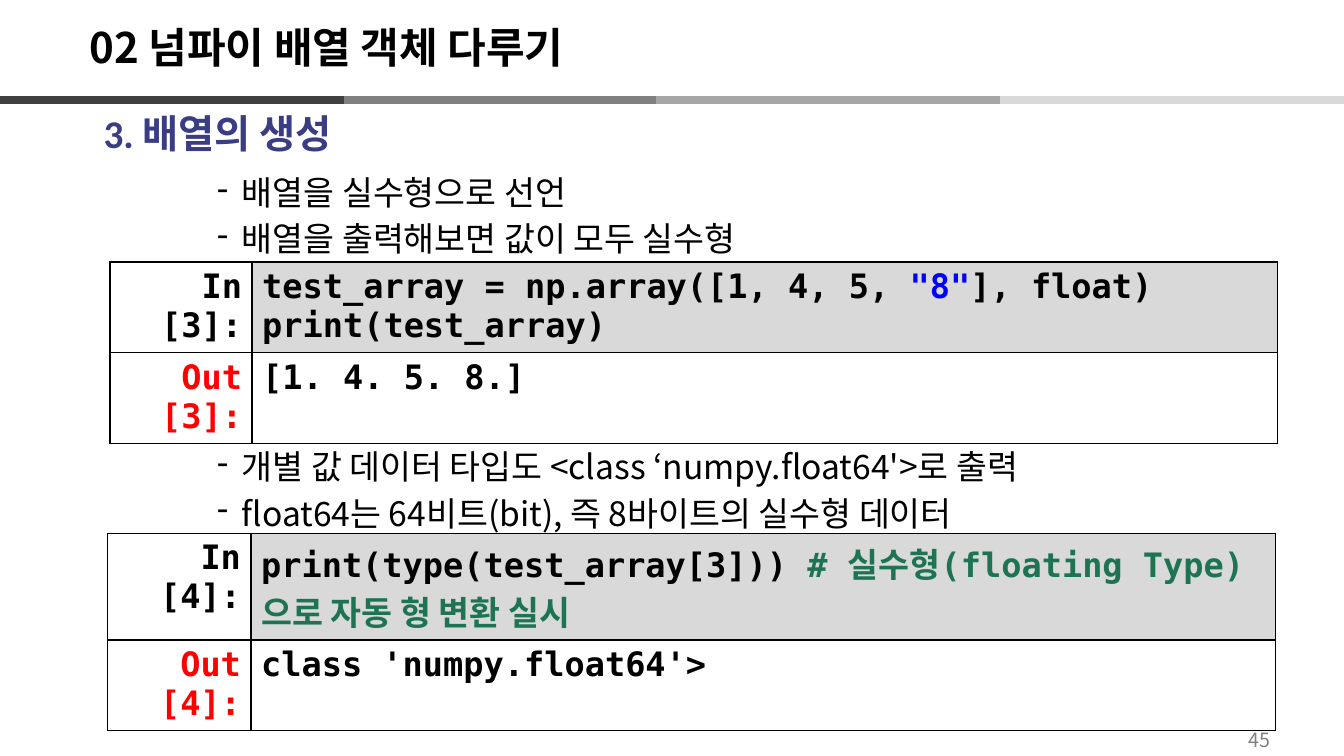
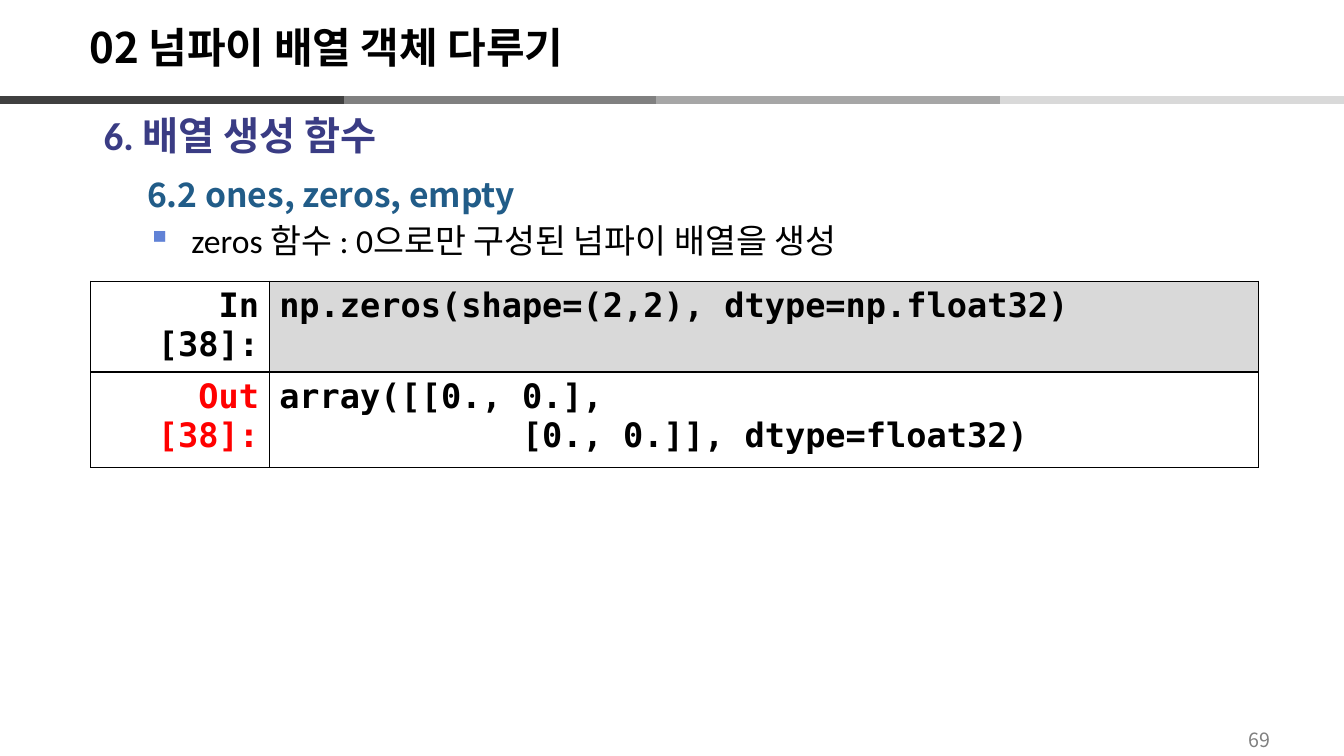
from dataclasses import dataclass

from lxml import etree
from pptx import Presentation
from pptx.dml.color import RGBColor
from pptx.enum import shapes, text
from pptx.oxml import ns
from pptx.util import Inches, Pt


@dataclass(frozen=True)
class Theme:
    # Fonts
    sans: str = "Noto Sans CJK KR"
    latin: str = "Calibri"
    mono: str = "DejaVu Sans Mono"
    # Type sizes in points
    title: float = 30
    heading: float = 28
    body: float = 24
    number: float = 14
    body_line: float = 33
    # Colours
    black: str = "000000"
    indigo: str = "3A3C84"
    blue: str = "215C88"
    bullet: str = "6182D6"
    grey: str = "808080"
    code_fill: str = "D9D9D9"
    out_label: str = "FF0000"
    string: str = "0000FF"
    comment: str = "1E7452"
    band: tuple = ("404040", "808080", "A6A6A6", "D9D9D9")


T = Theme()
TITLE = "02 넘파이 배열 객체 다루기"
SLIDE_W = 13.33


# Text helpers
def add_run(p, content, size, font, color=T.black, bold=False):
    r = p.add_run()
    r.text = content
    f = r.font
    f.size, f.bold, f.name = Pt(size), bold, font
    f.color.rgb = RGBColor.from_string(color)
    r.font._element.find(ns.qn("a:latin")).addnext(
        r.font._element.makeelement(ns.qn("a:ea"), {"typeface": T.sans}))


def add_box(s, x, y, w, h, anchor=text.MSO_ANCHOR.TOP):
    tf = s.shapes.add_textbox(Inches(x), Inches(y), Inches(w), Inches(h)).text_frame
    tf.word_wrap = True
    tf.vertical_anchor = anchor
    return tf


def set_indent(p, left, hanging=0, bullet=None, color=T.black):
    pPr = p._p.get_or_add_pPr()
    pPr.set("marL", str(Inches(left)))
    pPr.set("indent", str(-Inches(hanging)))
    if bullet:
        clr = etree.SubElement(pPr, ns.qn("a:buClr"))
        etree.SubElement(clr, ns.qn("a:srgbClr"), val=color)
        etree.SubElement(pPr, ns.qn("a:buChar"), char=bullet)


# Title, four-tone band and page number
def add_frame(s, number):
    tf = add_box(s, 0.79, 0.2, 9.97, 0.6, text.MSO_ANCHOR.MIDDLE)
    p = tf.paragraphs[0]
    p.line_spacing = 0.9
    add_run(p, TITLE, T.title, T.sans, bold=True)

    # The darkest piece overlaps the next one, so it is drawn last
    step = 3.41
    starts = [0] + [SLIDE_W - step * n for n in (3, 2, 1)]
    for x, color in reversed(list(zip(starts, T.band))):
        line = s.shapes.add_connector(
            shapes.MSO_CONNECTOR.STRAIGHT,
            Inches(x), Inches(0.99), Inches(x + step), Inches(0.99))
        line.line.width = Pt(6)
        line.line.color.rgb = RGBColor.from_string(color)
        etree.SubElement(line._element.spPr, ns.qn("a:effectLst"))

    tf = add_box(s, 12.02, 7.14, 0.94, 0.39, text.MSO_ANCHOR.MIDDLE)
    p = tf.paragraphs[0]
    p.alignment = text.PP_ALIGN.CENTER
    add_run(p, str(number), T.number, T.sans, T.grey)


def add_heading(s, content, y):
    p = add_box(s, 0.55, y, 12.13, 0.66).paragraphs[0]
    set_indent(p, 0.38)
    add_run(p, content, T.heading, T.latin, T.indigo, True)


def add_dashes(s, lines, y):
    tf = add_box(s, 0.55, y, 12.13, 1.02)
    for i, content in enumerate(lines):
        p = tf.add_paragraph() if i else tf.paragraphs[0]
        set_indent(p, 1.75, 0.25, "‐")
        p.line_spacing = Pt(T.body_line)
        add_run(p, content, T.body, T.sans)


def add_subsection(s, heading, item, y):
    tf = add_box(s, 0.55, y, 12.28, 1.02)
    p = tf.paragraphs[0]
    set_indent(p, 0.81)
    p.line_spacing = Pt(T.body_line)
    add_run(p, heading, T.body, T.sans, T.blue, True)
    p = tf.add_paragraph()
    set_indent(p, 1.25, 0.44, "▪", T.bullet)
    p.line_spacing = Pt(T.body_line)
    add_run(p, item, T.body, T.latin)


# Notebook cell: an input row and an output row
def fill_cell(cell, lines, fill=None, align=text.PP_ALIGN.LEFT):
    tcPr = cell._tc.get_or_add_tcPr()
    for side in ("lnL", "lnR", "lnT", "lnB"):
        ln = etree.SubElement(tcPr, ns.qn("a:" + side), w=str(Pt(1)))
        solid = etree.SubElement(ln, ns.qn("a:solidFill"))
        etree.SubElement(solid, ns.qn("a:srgbClr"), val=T.black)
    if fill:
        cell.fill.solid()
        cell.fill.fore_color.rgb = RGBColor.from_string(fill)
    else:
        cell.fill.background()
    for i, runs in enumerate(lines):
        tf = cell.text_frame
        p = tf.add_paragraph() if i else tf.paragraphs[0]
        p.alignment = align
        for content, color in runs:
            add_run(p, content, T.body, T.mono, color, True)


def add_notebook(s, number, code, output, x, y, label_w, heights):
    width = 11.58
    table = s.shapes.add_table(2, 2, Inches(x), Inches(y),
                               Inches(width), Inches(sum(heights))).table
    table.first_row = table.horz_banding = False
    for col, w in zip(table.columns, (label_w, width - label_w)):
        col.width = Inches(w)
    rows = (("In", T.black, code, T.code_fill),
            ("Out", T.out_label, output, None))
    for i, (label, color, lines, fill) in enumerate(rows):
        table.rows[i].height = Inches(heights[i])
        fill_cell(table.cell(i, 0), [[(f"{label} [{number}]:", color)]],
                  align=text.PP_ALIGN.RIGHT)
        fill_cell(table.cell(i, 1), lines, fill)


# Slides
def float_array_slide(s):
    add_frame(s, 45)
    add_heading(s, "3. 배열의 생성", 1.04)
    add_dashes(s, ["배열을 실수형으로 선언",
                   "배열을 출력해보면 값이 모두 실수형"], 1.6)
    add_notebook(
        s, 3,
        [[("test_array = np.array([1, 4, 5, ", T.black), ('"8"', T.string),
          ("], float)", T.black)],
         [("print(test_array)", T.black)]],
        [[("[1. 4. 5. 8.]", T.black)]],
        1.09, 2.6, 1.41, (0.87, 0.87))
    add_dashes(s, ["개별 값 데이터 타입도 <class ‘numpy.float64'>로 출력",
                   "float64는 64비트(bit), 즉 8바이트의 실수형 데이터"], 4.32)
    add_notebook(
        s, 4,
        [[("print(type(test_array[3])) ", T.black),
          ("# 실수형(floating Type)으로 자동 형 변환 실시", T.comment)]],
        [[("class 'numpy.float64'>", T.black)]],
        1.07, 5.29, 1.42, (1.06, 0.87))


def zeros_slide(s):
    add_frame(s, 69)
    add_heading(s, "6. 배열 생성 함수", 1.06)
    add_subsection(s, "6.2 ones, zeros, empty",
                   "zeros 함수 : 0으로만 구성된 넘파이 배열을 생성", 1.62)
    add_notebook(
        s, 38,
        [[("np.zeros(shape=(2,2), dtype=np.float32)", T.black)]],
        [[("array([[0., 0.],", T.black)],
         [("            [0., 0.]], dtype=float32)", T.black)]],
        0.9, 2.79, 1.77, (0.87, 0.95))


def main():
    prs = Presentation()
    prs.slide_width, prs.slide_height = Inches(SLIDE_W), Inches(7.5)
    for build in (float_array_slide, zeros_slide):
        build(prs.slides.add_slide(prs.slide_layouts[6]))
    prs.save("out.pptx")


if __name__ == "__main__":
    main()
